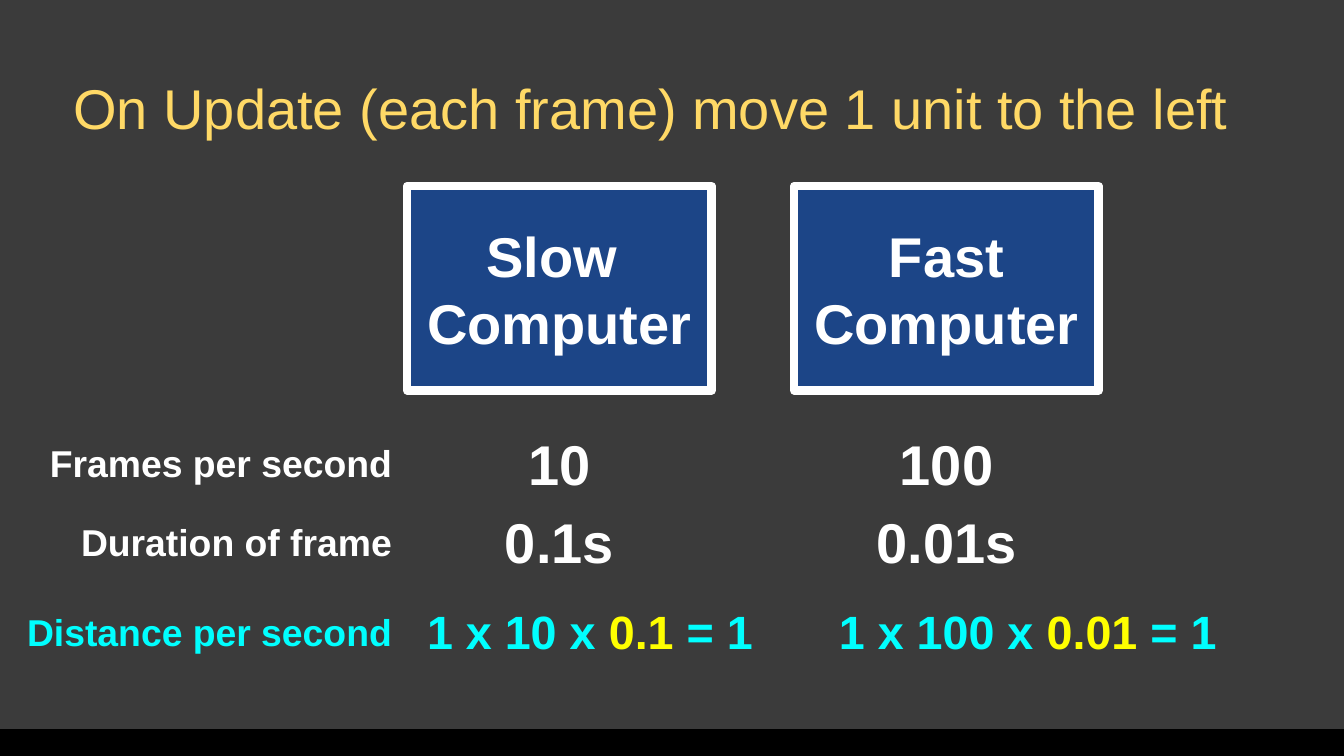
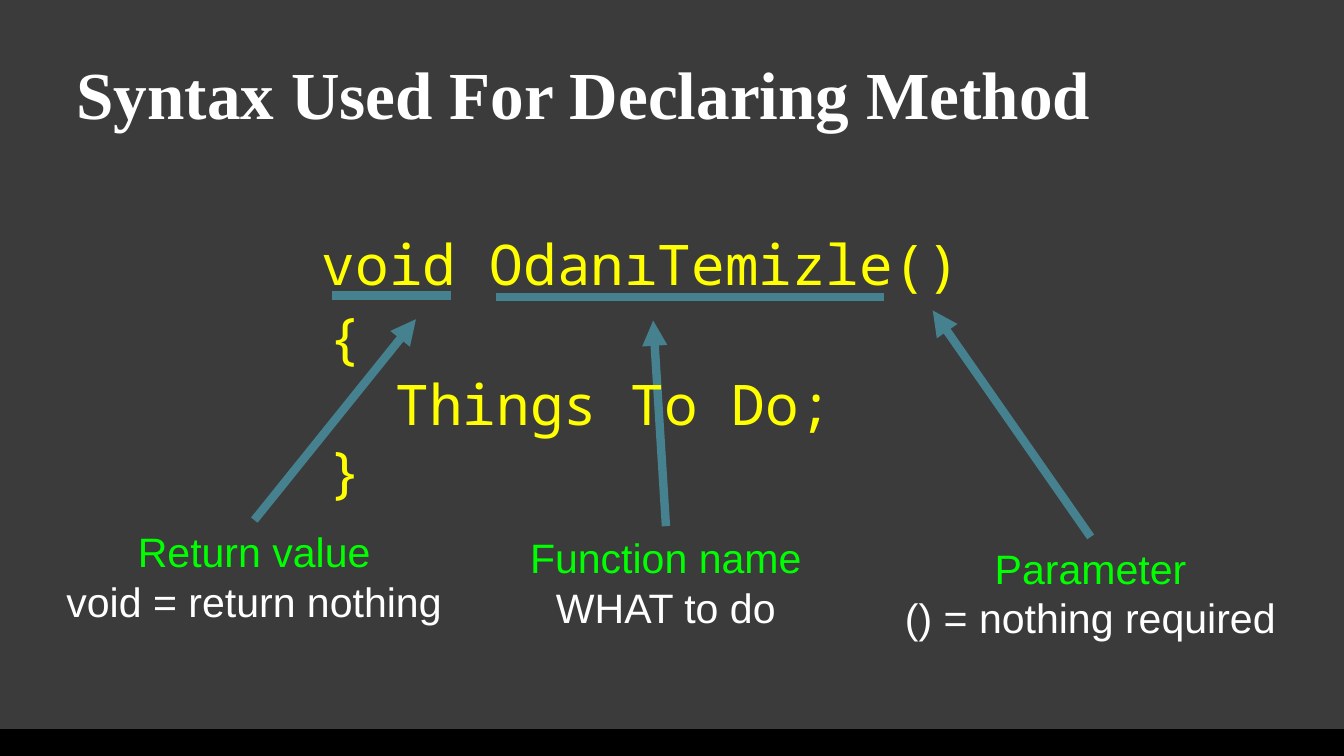
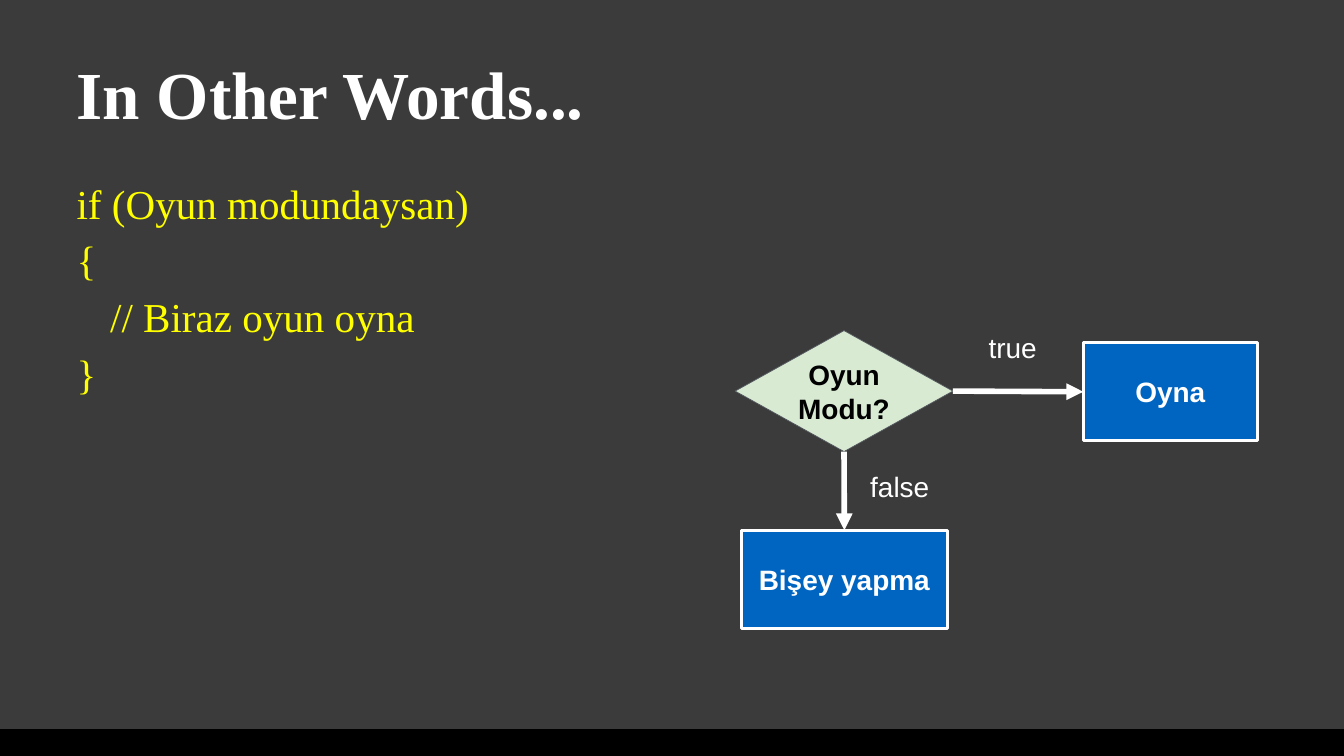
from lxml.etree import SubElement
from pptx import Presentation
from pptx.dml.color import RGBColor
from pptx.enum.shapes import MSO_CONNECTOR, MSO_SHAPE
from pptx.enum.text import MSO_ANCHOR, MSO_AUTO_SIZE, PP_ALIGN
from pptx.oxml.ns import qn
from pptx.util import Inches, Pt

COLORS = {
    "back": "3B3B3B", "black": "000000", "white": "FFFFFF", "navy": "1C4587",
    "blue": "0065C1", "mint": "D9EAD3", "gray": "53585F", "teal": "45818E",
    "gold": "FFD966", "yellow": "FFFF00", "cyan": "00FFFF", "green": "00FF00",
}
SANS, SERIF, MONO = "Arial", "Times New Roman", "Noto Sans Mono"
TITLE_ONLY, TITLE_BODY = 5, 1
TOP, MIDDLE = MSO_ANCHOR.TOP, MSO_ANCHOR.MIDDLE
LEFT, CENTER, RIGHT = PP_ALIGN.LEFT, PP_ALIGN.CENTER, PP_ALIGN.RIGHT
SIDE_TOP, SIDE_LEFT, SIDE_BOTTOM, SIDE_RIGHT = range(4)
WIDTH, HEIGHT = Inches(20), Inches(11.25)
COLS, ROWS = 40, 45


def rgb(name):
    return RGBColor.from_string(COLORS[name])


def grid(x, y):
    """Turn columns and rows into slide lengths."""
    return round(WIDTH * x / COLS), round(HEIGHT * y / ROWS)


def write(tf, paragraphs, size=60, font=SANS, color="white", bold=False,
          align=LEFT, anchor=MIDDLE, inset=0.1, spacing=None, tab=None):
    """Fill a frame; a paragraph is a string or a list of (text, color) runs."""
    tf.word_wrap = True
    tf.auto_size = MSO_AUTO_SIZE.NONE
    tf.vertical_anchor = anchor
    tf.margin_left = tf.margin_right = Inches(inset)
    tf.margin_top = tf.margin_bottom = Inches(inset)
    for i, runs in enumerate(paragraphs):
        p = tf.add_paragraph() if i else tf.paragraphs[0]
        if tab:
            pPr = p._p.get_or_add_pPr()
            pPr.set("marL", "0")
            pPr.set("indent", "0")
            SubElement(pPr, qn("a:buNone"))
            stops = SubElement(pPr, qn("a:tabLst"))
            SubElement(stops, qn("a:tab"), pos=str(Inches(tab)), algn="l")
        p.alignment = align
        p.space_before = Pt(0)
        if spacing:
            p.line_spacing = spacing
        for text, run_color in [(runs, color)] if isinstance(runs, str) else runs:
            r = p.add_run()
            r.text = text
            r.font.name, r.font.size, r.font.bold = font, Pt(size), bold
            r.font.color.rgb = rgb(run_color)


class Deck:
    """Holds the presentation, its shared look and the current slide."""

    def __init__(self):
        self.prs = Presentation()
        self.prs.slide_width, self.prs.slide_height = WIDTH, HEIGHT
        fill = self.prs.slide_master.background.fill
        fill.solid()
        fill.fore_color.rgb = rgb("back")

    def slide(self, title, layout=TITLE_ONLY, at=(1.88, 2.32, 36.4, 5.48), **style):
        self.s = self.prs.slides.add_slide(self.prs.slide_layouts[layout])
        self.box(0, 43.4, COLS, 1.6, "black")
        look = dict(size=72, font=SERIF, bold=True, anchor=TOP, inset=0.2)
        self.fill_placeholder(self.s.shapes.title, at, [title], **{**look, **style})

    def body(self, *at, lines, **style):
        self.fill_placeholder(self.s.placeholders[1], at, lines, **style)

    def fill_placeholder(self, sp, at, lines, **style):
        sp.left, sp.top = grid(*at[:2])
        sp.width, sp.height = grid(*at[2:])
        write(sp.text_frame, lines, **style)

    def text(self, x, y, w, h, lines, **style):
        sp = self.s.shapes.add_textbox(*grid(x, y), *grid(w, h))
        write(sp.text_frame, lines, **style)
        return sp

    def box(self, x, y, w, h, fill, lines=(), line=None, weight=1,
            shape=MSO_SHAPE.RECTANGLE, **style):
        sp = self.s.shapes.add_shape(shape, *grid(x, y), *grid(w, h))
        sp.shadow.inherit = False
        sp.fill.solid()
        sp.fill.fore_color.rgb = rgb(fill)
        if line:
            sp.line.color.rgb = rgb(line)
            sp.line.width = Pt(weight)
        else:
            sp.line.fill.background()
        write(sp.text_frame, lines, bold=True, align=CENTER, **style)
        return sp

    def line(self, start, end, color="teal", weight=9, arrow=False):
        """Draw a line; each end is a grid point or a (shape, side) pair."""
        joined = [not isinstance(e[0], (int, float)) for e in (start, end)]
        points = [(0, 0) if j else grid(*e) for j, e in zip(joined, (start, end))]
        cn = self.s.shapes.add_connector(MSO_CONNECTOR.STRAIGHT, *points[0], *points[1])
        if joined[0]:
            cn.begin_connect(*start)
        if joined[1]:
            cn.end_connect(*end)
        cn.line.color.rgb = rgb(color)
        cn.line.width = Pt(weight)
        if arrow:
            SubElement(cn.line._get_or_add_ln(), qn("a:tailEnd"), type="triangle")
        SubElement(cn._element.spPr, qn("a:effectLst"))


def frame_rate_slide(deck):
    deck.slide("On Update (each frame) move 1 unit to the left",
               at=(1.98, 3.32, 36.1, 6.12), size=60, font=SANS, color="gold",
               bold=False, anchor=MIDDLE, inset=0.1)
    label_w, col_w, row_h = 11.86, 9.06, 6.12
    fps_y, duration_y, distance_y = 24.48, 29.16, 34.52
    for y, label, color in ((fps_y, "Frames per second", "white"),
                            (duration_y, "Duration of frame", "white"),
                            (distance_y, "Distance per second", "cyan")):
        deck.text(0, y, label_w, row_h, [label], size=40, color=color,
                  bold=True, align=RIGHT)

    computers = ((12.12, "Slow ", "10", "0.1", 10.88),
                 (23.64, "Fast", "100", "0.01", 13.9))
    for x, speed, fps, duration, distance_w in computers:
        deck.box(x, 11.08, col_w, 12.16, "navy", [speed, "Computer"],
                 line="white", weight=9)
        for y, value in ((fps_y, fps), (duration_y, duration + "s")):
            deck.text(x, y, col_w, row_h, [value], bold=True, align=CENTER)
        product = [(f"1 x {fps} x ", "cyan"), (duration, "yellow"), (" = 1", "cyan")]
        deck.text(x, distance_y, distance_w, row_h, [product], size=50,
                  bold=True, align=CENTER)


def method_slide(deck):
    deck.slide("Syntax Used For Declaring Method")
    callouts = (
        ((14.48, 31.32, 10.68, 6.6), "Function name", "WHAT to do", (19.44, 19.08)),
        ((25.26, 31.96, 14.4, 6.96), "Parameter", "() = nothing required", (27.76, 18.48)),
        ((0.64, 30.96, 13.86, 6.92), "Return value", "void = return nothing", (12.38, 19)),
    )
    for at, name, meaning, target in callouts:
        note = deck.text(*at, [[(name, "green")], meaning], size=44,
                         align=CENTER, anchor=TOP)
        deck.line((note, SIDE_TOP), target, arrow=True)
    for y, left, right in ((17.6, 9.88, 13.42), (17.68, 14.76, 26.32)):
        deck.line((left, y), (right, y))

    code = dict(font=MONO, color="yellow")
    deck.text(7.56, 11.24, 23.04, 8.88, ["void OdanıTemizle()"], align=CENTER, **code)
    deck.text(9.58, 19.56, 23.04, 8.88, ["{", "  Things To Do;", "}"], **code)


def condition_slide(deck):
    deck.slide("In Other Words...", layout=TITLE_BODY)
    deck.body(1.88, 9.36, 36.4, 31.48,
              lines=["if (Oyun modundaysan)", "{", "\t// Biraz oyun oyna", "}"],
              size=44, font=SERIF, color="yellow", anchor=TOP, inset=0.2,
              spacing=1.15, tab=1)

    question = deck.box(21.88, 19.68, 6.48, 7.2, "mint", ["Oyun Modu?"], line="gray",
                        weight=0.75, shape=MSO_SHAPE.FLOWCHART_DECISION,
                        size=30, color="black")
    action = dict(line="white", weight=3, size=30)
    play = deck.box(32.24, 20.4, 5.18, 5.84, "blue", ["Oyna"], **action)
    skip = deck.box(22.06, 31.56, 6.14, 5.84, "blue", ["Bişey yapma"], **action)

    branches = ((SIDE_RIGHT, play, SIDE_LEFT, "true", 29, 19.28),
                (SIDE_BOTTOM, skip, SIDE_TOP, "false", 25.64, 27.56))
    for out_side, target, in_side, answer, x, y in branches:
        deck.line((question, out_side), (target, in_side), "white", 6, arrow=True)
        deck.text(x, y, 2.28, 3.36, [answer], size=30, align=CENTER, anchor=TOP)


def main():
    deck = Deck()
    frame_rate_slide(deck)
    method_slide(deck)
    condition_slide(deck)
    deck.prs.save("out.pptx")


if __name__ == "__main__":
    main()
